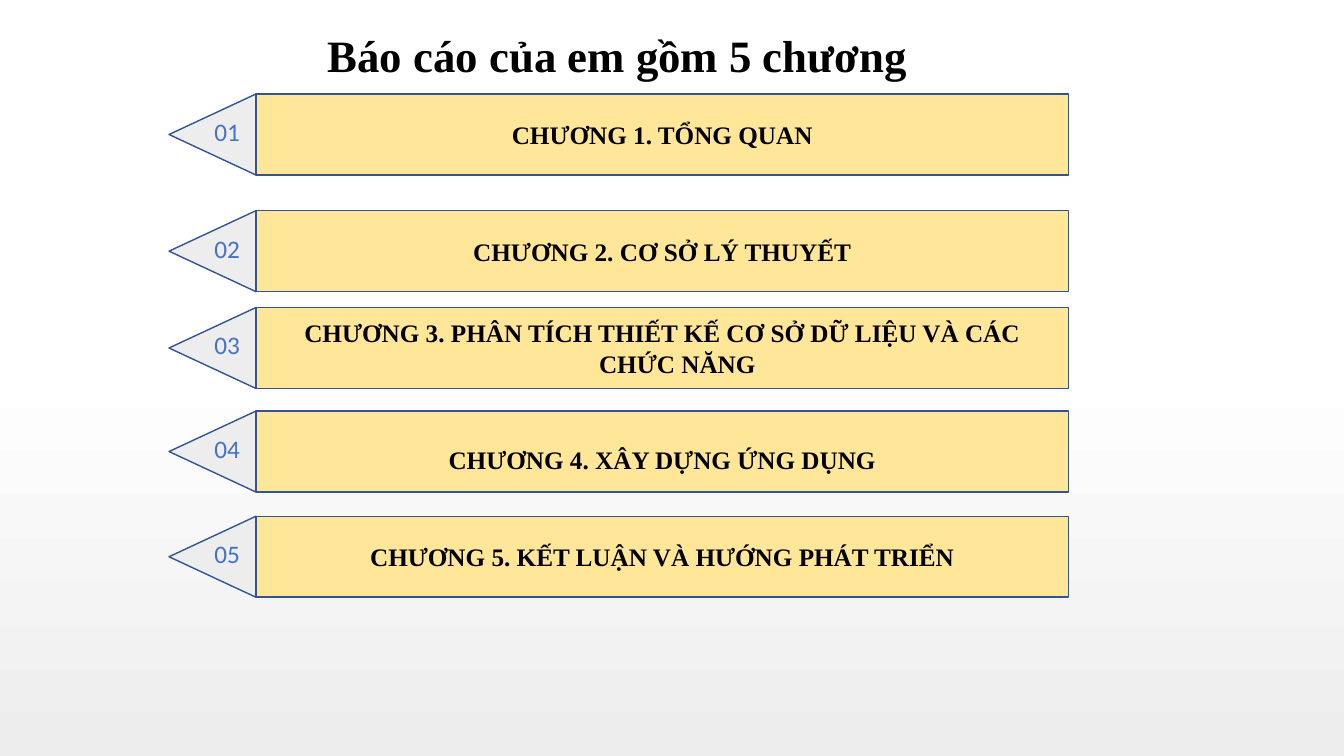
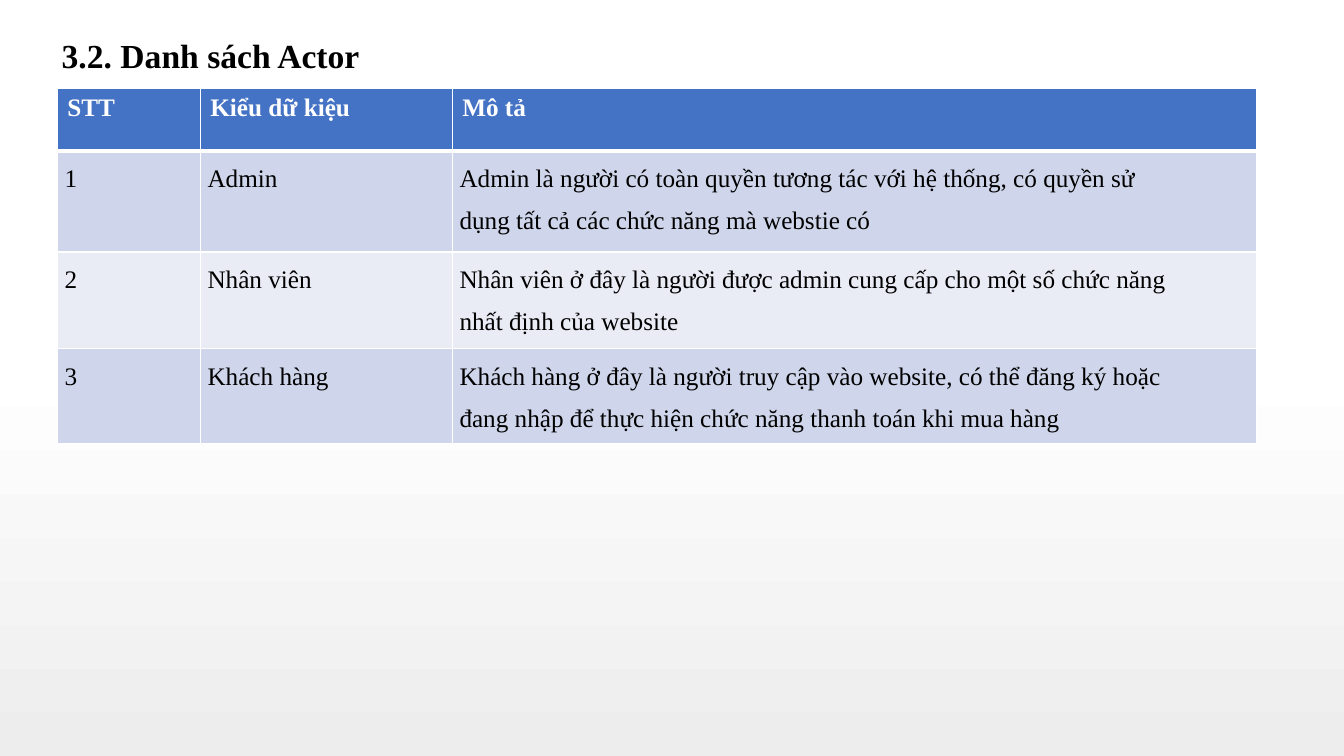
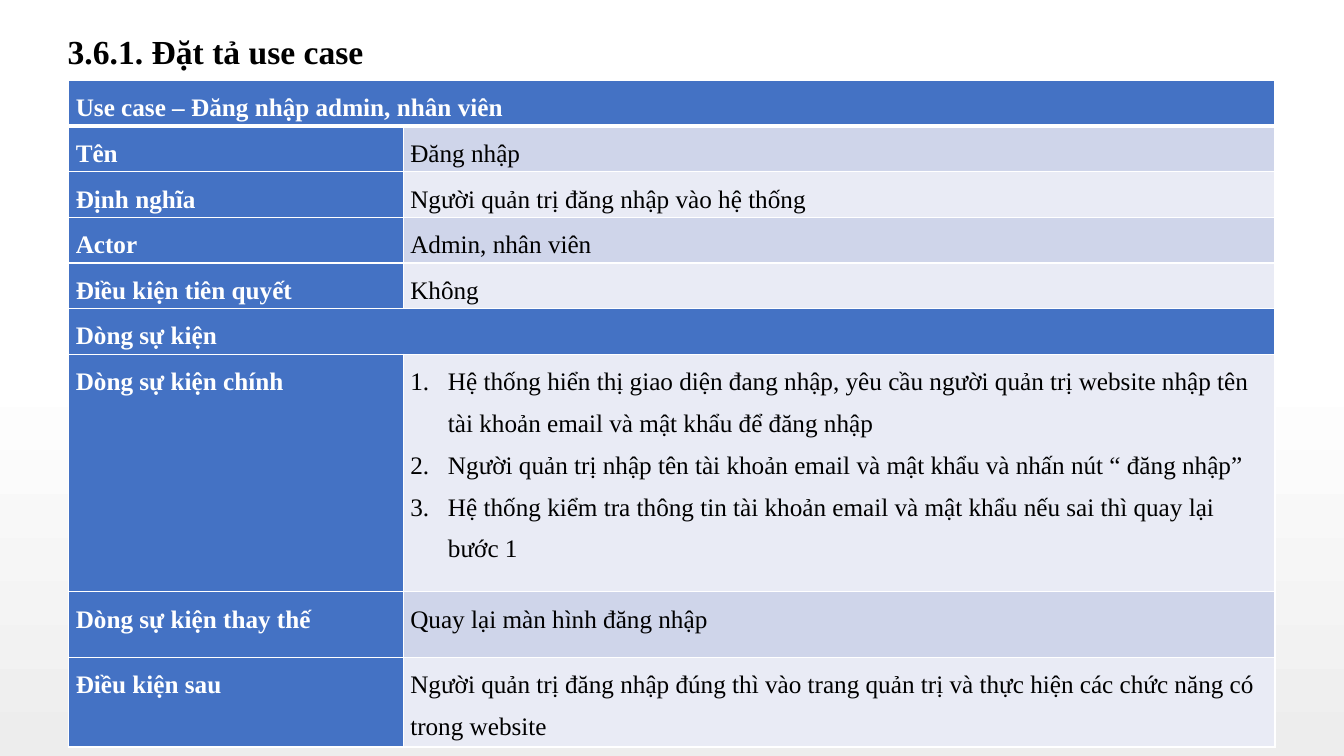
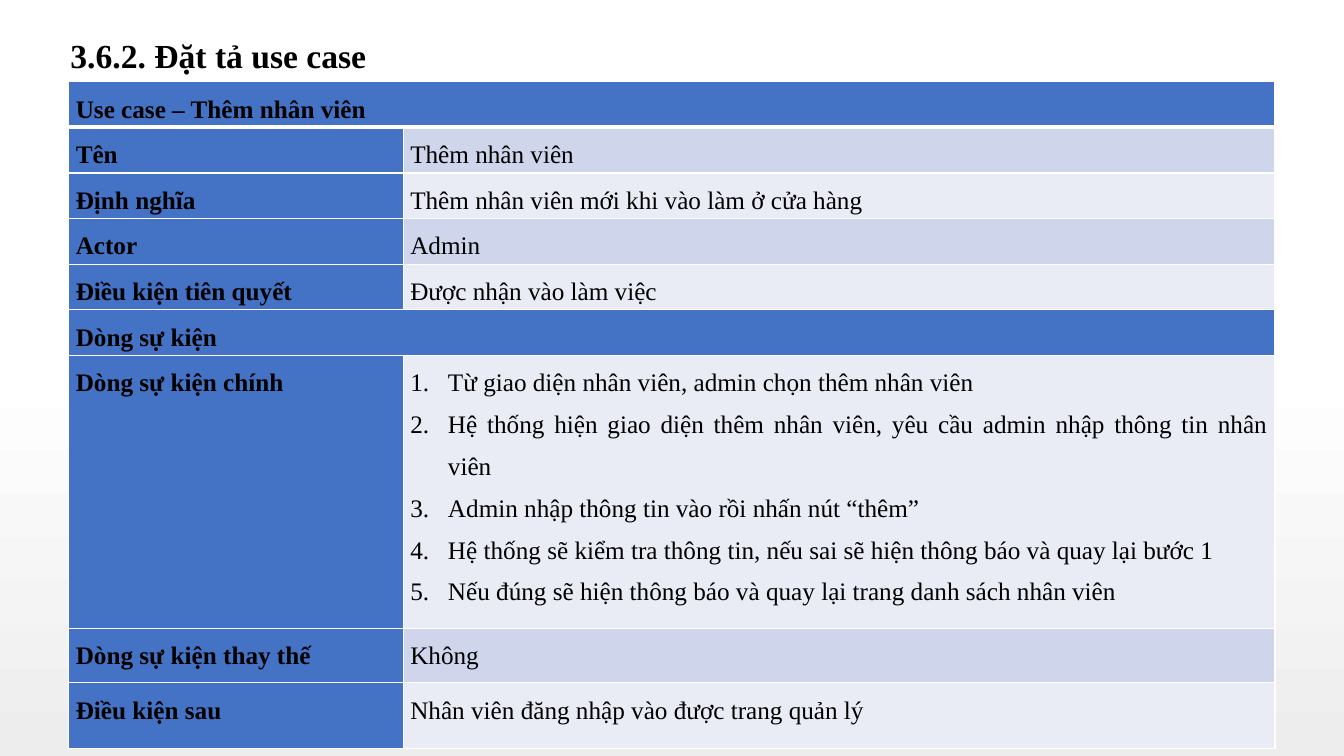
"""Builds four slides of a project report: its chapters, its actors and two use cases."""
from lxml.etree import SubElement
from pptx import Presentation
from pptx.dml.color import RGBColor
from pptx.enum.shapes import MSO_SHAPE as SHAPE
from pptx.enum.text import MSO_ANCHOR as ANCHOR, MSO_AUTO_SIZE as AUTOSIZE, PP_ALIGN as ALIGN
from pptx.oxml.ns import qn
from pptx.util import Cm, Pt

COLORS = {
    "ink": "000000", "white": "FFFFFF", "mist": "EDEDED", "bar": "FFE699",
    "outline": "325491", "blue": "4472C4", "band": "CFD5EA", "pale": "E9EBF5",
}
SERIF, SANS = "Times New Roman", "Calibri"

OUTLINE_TITLE = "Báo cáo của em gồm 5 chương"
CHAPTERS = [
    (2.37, "CHƯƠNG 1. TỔNG QUAN", {}),
    (5.31, "CHƯƠNG 2. CƠ SỞ LÝ THUYẾT", {}),
    (7.75, "CHƯƠNG 3. PHÂN TÍCH THIẾT KẾ CƠ SỞ DỮ LIỆU VÀ CÁC CHỨC NĂNG", {"hanging": 0.76}),
    (10.36, "CHƯƠNG 4. XÂY DỰNG ỨNG DỤNG", {"spacing": 1.5, "before": 4.3}),
    (13.01, "CHƯƠNG 5. KẾT LUẬN VÀ HƯỚNG PHÁT TRIỂN", {"hanging": 0.76}),
]
BAR_LEFT, BAR_WIDTH, BAR_HEIGHT, TIP_LEFT = 6.45, 20.48, 2.04, 4.26

ACTORS_TITLE = "3.2. Danh sách Actor"
ACTORS = [
    ("STT", "Kiểu dữ kiệu", "Mô tả"),
    ("1", "Admin", "Admin là người có toàn quyền tương tác với hệ thống, có quyền sử dụng "
     "tất cả các chức năng mà webstie có"),
    ("2", "Nhân viên", "Nhân viên ở đây là người được admin cung cấp cho một số chức năng "
     "nhất định của website"),
    ("3", "Khách hàng", "Khách hàng ở đây là người truy cập vào website, có thể đăng ký hoặc "
     "đang nhập để thực hiện chức năng thanh toán khi mua hàng"),
]

USE_CASE_LABELS = ["Tên", "Định nghĩa", "Actor", "Điều kiện tiên quyết", "Dòng sự kiện",
                   "Dòng sự kiện chính", "Dòng sự kiện thay thế", "Điều kiện sau"]
USE_CASES = [
    {
        "title": "3.6.1. Đặt tả use case", "title_at": (1.45, 0.64), "top": 2.03,
        "tall_rows": [5.99, 1.65, 2.26], "label_color": "white", "align": ALIGN.LEFT,
        "heading": "Use case – Đăng nhập admin, nhân viên",
        "values": [
            "Đăng nhập", "Người quản trị đăng nhập vào hệ thống", "Admin, nhân viên", "Không", None,
            ["Hệ thống hiển thị giao diện đang nhập, yêu cầu người quản trị website nhập tên "
             "tài khoản email và mật khẩu để đăng nhập",
             "Người quản trị nhập tên tài khoản email và mật khẩu và nhấn nút “ đăng nhập”",
             "Hệ thống kiểm tra thông tin tài khoản email và mật khẩu nếu sai thì quay lại bước 1"],
            "Quay lại màn hình đăng nhập",
            "Người quản trị đăng nhập đúng thì vào trang quản trị và thực hiện các chức năng có "
            "trong website",
        ],
    },
    {
        "title": "3.6.2. Đặt tả use case", "title_at": (1.52, 0.76), "top": 2.06,
        "tall_rows": [6.88, 1.37, 1.65], "label_color": "ink", "align": ALIGN.JUSTIFY,
        "heading": "Use case – Thêm nhân viên",
        "values": [
            "Thêm nhân viên", "Thêm nhân viên mới khi vào làm ở cửa hàng", "Admin",
            "Được nhận vào làm việc", None,
            ["Từ giao diện nhân viên, admin chọn thêm nhân viên",
             "Hệ thống hiện giao diện thêm nhân viên, yêu cầu admin nhập thông tin nhân viên",
             "Admin nhập thông tin vào rồi nhấn nút “thêm”",
             "Hệ thống sẽ kiểm tra thông tin, nếu sai sẽ hiện thông báo và quay lại bước 1",
             "Nếu đúng sẽ hiện thông báo và quay lại trang danh sách nhân viên"],
            "Không", "Nhân viên đăng nhập vào được trang quản lý",
        ],
    },
]


def rgb(name):
    return RGBColor.from_string(COLORS[name])


def put_text(frame, text, size=18, font=SERIF, color="ink", bold=False, align=ALIGN.LEFT,
             spacing=1.0, before=0, after=0, hanging=0):
    """Write a string, or a list as numbered paragraphs."""
    numbered = isinstance(text, list)
    for index, line in enumerate(text if numbered else [text]):
        paragraph = frame.add_paragraph() if index else frame.paragraphs[0]
        paragraph.alignment, paragraph.line_spacing = align, spacing
        paragraph.space_before, paragraph.space_after = Pt(before), Pt(after)
        run = paragraph.add_run()
        run.text = line
        run.font.size, run.font.name, run.font.bold = Pt(size), font, bold
        run.font.color.rgb = rgb(color)
        if hanging:
            properties = paragraph._p.get_or_add_pPr()
            properties.set("marL", str(Cm(hanging)))
            properties.set("indent", str(-Cm(hanging)))
            if numbered:
                SubElement(properties, qn("a:buFont"), typeface="+mj-lt")
                SubElement(properties, qn("a:buAutoNum"), type="arabicPeriod")


def add_titled_slide(deck, title, left, top, width=24.74, height=1.27, size=24):
    slide = deck.slides.add_slide(deck.slide_layouts[5])
    heading = slide.shapes.title
    heading.left, heading.top, heading.width, heading.height = map(Cm, (left, top, width, height))
    frame = heading.text_frame
    frame.word_wrap, frame.auto_size = True, AUTOSIZE.NONE
    frame.vertical_anchor = ANCHOR.TOP
    put_text(frame, title, size=size, bold=True)
    return slide


def paint(shape, color):
    shape.shadow.inherit = False
    shape.fill.solid()
    shape.fill.fore_color.rgb = rgb(color)
    shape.line.color.rgb = rgb("outline")
    shape.line.width = Pt(1)


def add_chapter(slide, number, top, name, text_format):
    shapes = slide.shapes.add_group_shape().shapes
    bar = shapes.add_shape(SHAPE.RECTANGLE, Cm(BAR_LEFT), Cm(top), Cm(BAR_WIDTH), Cm(BAR_HEIGHT))
    paint(bar, "bar")
    bar.text_frame.word_wrap = True
    bar.text_frame.vertical_anchor = ANCHOR.MIDDLE
    put_text(bar.text_frame, name, bold=True, align=ALIGN.CENTER, **text_format)

    outline = shapes.build_freeform(Cm(BAR_LEFT), Cm(top))
    outline.add_line_segments([(Cm(BAR_LEFT), Cm(top + BAR_HEIGHT)),
                               (Cm(TIP_LEFT), Cm(top + BAR_HEIGHT / 2))], close=True)
    paint(outline.convert_to_shape(), "mist")

    label = shapes.add_textbox(Cm(5.05), Cm(top + 0.43), Cm(1.35), Cm(1.02)).text_frame
    label.word_wrap, label.vertical_anchor = True, ANCHOR.MIDDLE
    put_text(label, f"{number:02}", font=SANS, color="blue", align=ALIGN.CENTER)


def add_grid(slide, left, top, widths, heights):
    table = slide.shapes.add_table(len(heights), len(widths), Cm(left), Cm(top),
                                   Cm(sum(widths)), Cm(sum(heights))).table
    for column, width in zip(table.columns, widths):
        column.width = Cm(width)
    for row, height in zip(table.rows, heights):
        row.height = Cm(height)
    return table


def format_cell(cell, row, header, side=0.18, right=0.18, edge=0):
    cell.margin_left, cell.margin_right = Cm(side), Cm(right)
    cell.margin_top = cell.margin_bottom = Cm(edge)
    properties = cell._tc.get_or_add_tcPr()
    for tag in ("lnL", "lnR", "lnT", "lnB"):
        thick = (row == 0 and tag == "lnB") or (row == 1 and tag == "lnT")
        border = SubElement(properties, qn(f"a:{tag}"), w=str(Pt(3 if thick else 1)))
        SubElement(SubElement(border, qn("a:solidFill")), qn("a:srgbClr"), val=COLORS["white"])
    cell.fill.solid()
    cell.fill.fore_color.rgb = rgb("blue" if header else "band" if row % 2 else "pale")


def add_actors(deck):
    slide = add_titled_slide(deck, ACTORS_TITLE, 1.3, 0.76)
    table = add_grid(slide, 1.45, 2.24, [3.6, 6.35, 20.27], [1.57, 2.54, 2.44, 2.39])
    for row, actor in enumerate(ACTORS):
        for column, text in enumerate(actor):
            cell = table.cell(row, column)
            if row == 0:
                format_cell(cell, row, True, side=0.25, right=0.25, edge=0.13)
                put_text(cell.text_frame, text, color="white", bold=True)
            else:
                format_cell(cell, row, False, right=1.9 if column == 2 else 0.18)
                put_text(cell.text_frame, text, spacing=1.5, before=1.8, after=10)


def add_use_case(deck, case):
    slide = add_titled_slide(deck, case["title"], *case["title_at"])
    table = add_grid(slide, 1.73, case["top"], [8.43, 21.97], [1.15] * 6 + case["tall_rows"])
    labels = [case["heading"]] + USE_CASE_LABELS
    for row, (label, value) in enumerate(zip(labels, [None] + case["values"])):
        label_cell, value_cell = table.cell(row, 0), table.cell(row, 1)
        format_cell(label_cell, row, True)
        format_cell(value_cell, row, value is None)
        put_text(label_cell.text_frame, label, color=case["label_color"], bold=True, spacing=1.5)
        if value is None:
            label_cell.merge(value_cell)
        else:
            put_text(value_cell.text_frame, value, align=case["align"], spacing=1.5,
                     hanging=0.95 if isinstance(value, list) else 0)


def main():
    deck = Presentation()
    deck.slide_width, deck.slide_height = Cm(33.87), Cm(19.05)
    backdrop = deck.slide_master.background.fill
    backdrop.gradient()
    backdrop.gradient_angle = 270
    for stop, position, color in zip(backdrop.gradient_stops, (0.48, 1), ("white", "mist")):
        stop.position, stop.color.rgb = position, rgb(color)

    outline = add_titled_slide(deck, OUTLINE_TITLE, 8, 0.56, width=15.6, height=1.63, size=32)
    for number, (top, name, text_format) in enumerate(CHAPTERS, 1):
        add_chapter(outline, number, top, name, text_format)
    add_actors(deck)
    for case in USE_CASES:
        add_use_case(deck, case)
    deck.save("out.pptx")


if __name__ == "__main__":
    main()
